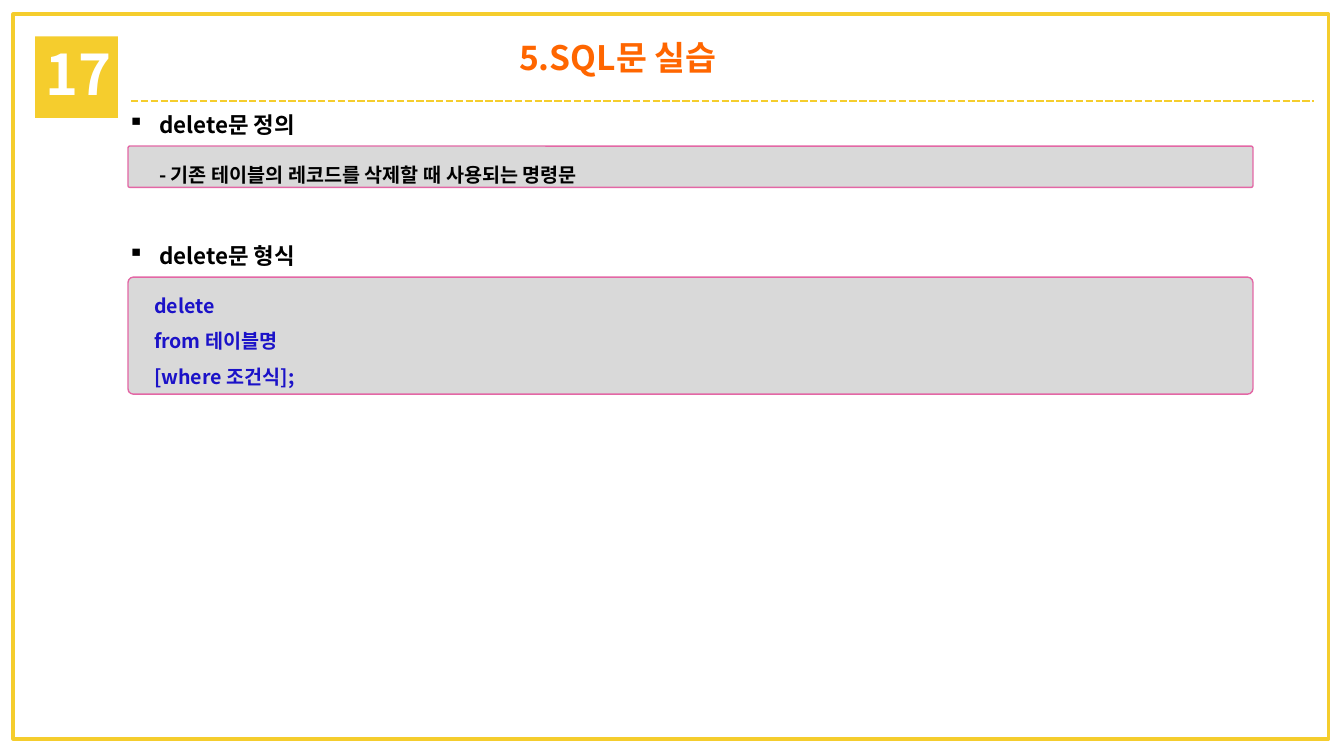
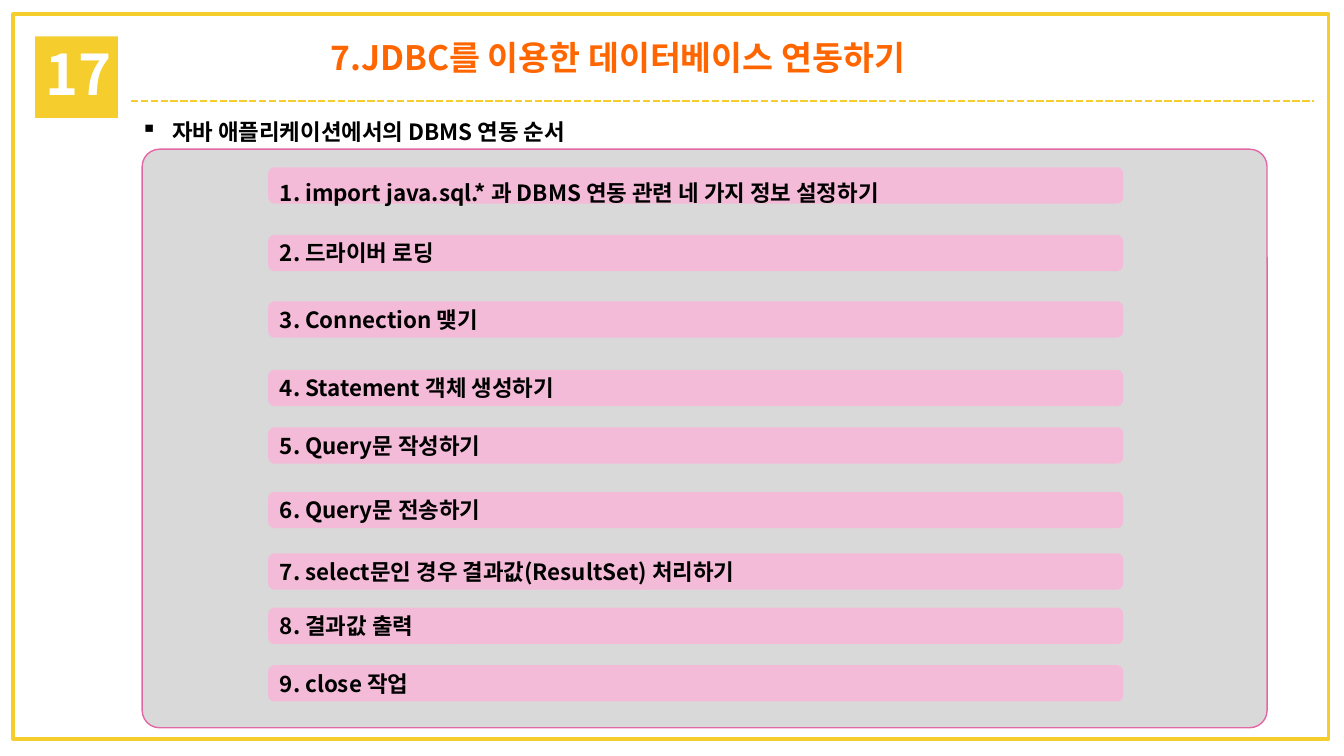
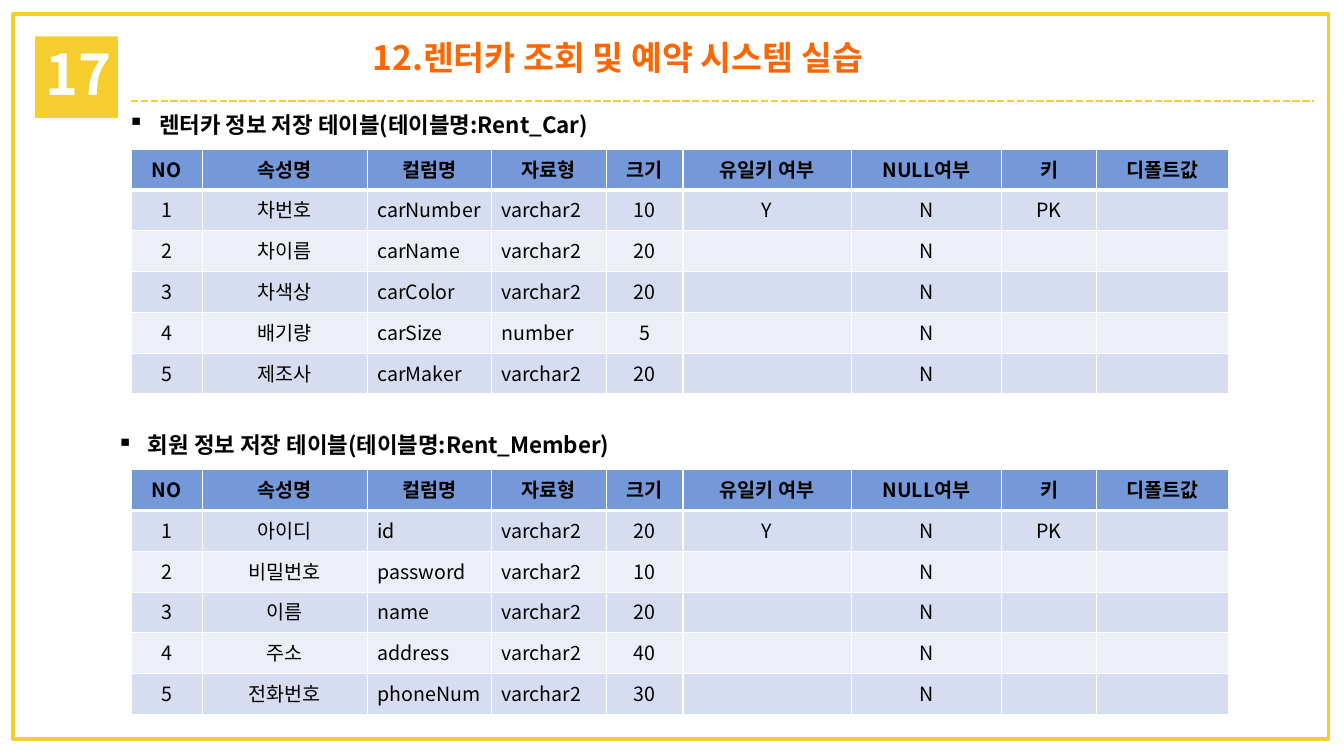
from dataclasses import dataclass

from lxml import etree
from pptx import Presentation
from pptx import util as u
from pptx.dml.color import RGBColor
from pptx.enum import dml, shapes, text
from pptx.oxml.ns import qn


@dataclass(frozen=True)
class Theme:
    font: str = "Noto Sans CJK KR"
    gold: str = "F5CD2D"
    orange: str = "FF6600"
    ink: str = "000000"
    white: str = "FFFFFF"
    code: str = "1B12C8"
    gray: str = "D9D9D9"
    rose: str = "E367A5"
    pink: str = "F3BBD7"
    header: str = "7598D9"
    bands: tuple = ("D6DDF1", "ECEFF8")
    badge: int = 40
    title: int = 24
    head: int = 16
    body: int = 14


T = Theme()
PAGE = (0, 0, u.Inches(13.333), u.Inches(7.5))
LEFT, CENTER = text.PP_ALIGN.LEFT, text.PP_ALIGN.CENTER
RECT = shapes.MSO_SHAPE.RECTANGLE
ROUND = shapes.MSO_SHAPE.ROUNDED_RECTANGLE
WIDTHS = (0.71, 1.63, 1.23, 1.14, 0.76, 1.67, 1.49, 0.94, 1.31)
COLUMNS = ("NO", "속성명", "컬럼명", "자료형", "크기", "유일키 여부",
           "NULL여부", "키", "디폴트값")
CARS = (("차번호", "carNumber", "varchar2", "10"),
        ("차이름", "carName", "varchar2", "20"),
        ("차색상", "carColor", "varchar2", "20"),
        ("배기량", "carSize", "number", "5"),
        ("제조사", "carMaker", "varchar2", "20"))
MEMBERS = (("아이디", "id", "varchar2", "20"),
           ("비밀번호", "password", "varchar2", "10"),
           ("이름", "name", "varchar2", "20"),
           ("주소", "address", "varchar2", "40"),
           ("전화번호", "phoneNum", "varchar2", "30"))
# Top of each step, in percent of the panel height
STEPS = ((3.14, "1. import java.sql.* 과 DBMS 연동 관련 네 가지 정보 설정하기"),
         (14.81, "2. 드라이버 로딩"),
         (26.31, "3. Connection 맺기"),
         (38.15, "4. Statement 객체 생성하기"),
         (48.08, "5. Query문 작성하기"),
         (59.23, "6. Query문 전송하기"),
         (69.86, "7. select문인 경우 결과값(ResultSet) 처리하기"),
         (79.27, "8. 결과값 출력"),
         (89.2, "9. close 작업"))


def part(box, x, y, w, h):
    """Return the area at these percentages of a box."""
    left, top, wide, high = box
    return (round(left + wide * x / 100), round(top + high * y / 100),
            round(wide * w / 100), round(high * h / 100))


def rgb(color):
    return RGBColor.from_string(color)


def style(para, size, color=T.ink, bold=True, align=LEFT, spacing=None):
    para.alignment = align
    if spacing:
        para.line_spacing = spacing
    font = para.font
    font.size, font.bold, font.name = u.Pt(size), bold, T.font
    font.color.rgb = rgb(color)
    props = para._p.get_or_add_pPr().find(qn("a:defRPr"))
    etree.SubElement(props, qn("a:ea"), typeface=T.font)


def indent(para, left, first=0, bullet=None):
    props = para._p.get_or_add_pPr()
    props.set("marL", str(u.Inches(left)))
    props.set("indent", str(u.Inches(first)))
    if bullet:
        etree.SubElement(props, qn("a:buChar"), char=bullet)


def label(slide, box, lines, size, color=T.ink, spacing=None, left=0,
          first=0, bullet=None):
    frame = slide.shapes.add_textbox(*box).text_frame
    frame.word_wrap = True
    frame.auto_size = text.MSO_AUTO_SIZE.SHAPE_TO_FIT_TEXT
    frame.text = "\n".join(lines)
    for para in frame.paragraphs:
        if left:
            indent(para, left, first, bullet)
        style(para, size, color, spacing=spacing)


def block(slide, kind, box, fill=None, line=None, width=1, corner=None):
    shape = slide.shapes.add_shape(kind, *box)
    shape.shadow.inherit = False
    if corner is not None:
        shape.adjustments[0] = corner
    if fill:
        shape.fill.solid()
        shape.fill.fore_color.rgb = rgb(fill)
    else:
        shape.fill.background()
    if line:
        shape.line.color.rgb = rgb(line)
        shape.line.width = u.Pt(width)
    else:
        shape.line.fill.background()
    return shape


def start(deck, title):
    """Add a slide with the shared frame, badge, rule and title."""
    slide = deck.slides.add_slide(deck.slide_layouts[5])
    block(slide, RECT, part(PAGE, 0.98, 1.87, 97.88, 95.87),
          line=T.gold, width=2.5)
    block(slide, RECT, part(PAGE, 2.62, 4.8, 6.15, 10.8), T.gold)
    label(slide, part(PAGE, 2.62, 4.53, 7.28, 10.27), ["17"], T.badge, T.white)
    x, y, w, _ = part(PAGE, 9.75, 13.33, 88.05, 0)
    rule = slide.shapes.add_connector(shapes.MSO_CONNECTOR.STRAIGHT,
                                      x, y, x + w, y)
    rule.line.color.rgb = rgb(T.gold)
    rule.line.width = u.Pt(1.75)
    rule.line.dash_style = dml.MSO_LINE.SQUARE_DOT
    etree.SubElement(rule._element.spPr, qn("a:effectLst"))
    head = slide.shapes.title
    head.left, head.top, head.width, head.height = part(
        PAGE, 10.72, 4.27, 70.5, 6.67)
    frame = head.text_frame
    frame.text = title
    frame.word_wrap = True
    frame.auto_size = text.MSO_AUTO_SIZE.SHAPE_TO_FIT_TEXT
    frame.vertical_anchor = text.MSO_ANCHOR.TOP
    style(frame.paragraphs[0], T.title, T.orange, align=CENTER)
    return slide


def heading(slide, x, y, words, width=42.6):
    label(slide, part(PAGE, x, y, width, 4.93), [words], T.head,
          left=0.31, first=-0.31, bullet="▪")


def panel(slide, box, corner):
    block(slide, ROUND, box, T.gray, T.rose, corner=corner)


def section(slide, top, words, high, lines, color=T.ink, left=0):
    """Add a heading with a panel of text below it."""
    heading(slide, 8.78, top, words)
    box = part(PAGE, 9.53, top + 5.33, 83.7, high)
    panel(slide, box, 0.045)
    label(slide, part(box, 1.43, 0, 94.18, 100), lines, T.body, color,
          spacing=1.5, left=left)


def steps(slide, box):
    panel(slide, box, 0.03)
    for row, (top, words) in enumerate(STEPS):
        bar = block(slide, ROUND, part(box, 11.2, top, 76, 6.27), T.pink)
        frame = bar.text_frame
        frame.text = words
        frame.vertical_anchor = text.MSO_ANCHOR.MIDDLE
        style(frame.paragraphs[0], T.head, spacing=None if row else 1.5)


def border(cell, row):
    props = cell._tc.get_or_add_tcPr()
    thick = {"T": row == 1, "B": row == 0}
    for side in "LRTB":
        width = u.Pt(3 if thick.get(side) else 1)
        line = etree.SubElement(props, qn("a:ln" + side), w=str(width))
        fill = etree.SubElement(line, qn("a:solidFill"))
        etree.SubElement(fill, qn("a:srgbClr"), val=T.white)


def schema(slide, box, fields):
    """Add a table with one row for each database field."""
    rows = [COLUMNS]
    for num, field in enumerate(fields, 1):
        key = ("Y", "N", "PK") if num == 1 else ("", "N", "")
        rows.append((str(num), *field, *key, ""))
    table = slide.shapes.add_table(len(rows), len(COLUMNS), *box).table
    for column, share in zip(table.columns, WIDTHS):
        column.width = round(box[2] * share / sum(WIDTHS))
    for r, values in enumerate(rows):
        table.rows[r].height = round(box[3] / len(rows))
        for c, value in enumerate(values):
            cell = table.cell(r, c)
            border(cell, r)
            cell.fill.solid()
            cell.fill.fore_color.rgb = rgb(T.bands[(r - 1) % 2] if r
                                           else T.header)
            cell.text = value
            para = cell.text_frame.paragraphs[0]
            style(para, T.body, bold=r == 0,
                  align=LEFT if r and c in (2, 3) else CENTER)
            if not value:
                etree.SubElement(para._p, qn("a:endParaRPr"),
                                 sz=str(T.body * 100))


def delete(deck):
    slide = start(deck, "5.SQL문 실습")
    section(slide, 14, "delete문 정의", 5.47,
            ["- 기존 테이블의 레코드를 삭제할 때 사용되는 명령문"], left=0.05)
    section(slide, 31.33, "delete문 형식", 15.47,
            ["delete", "from 테이블명", "[where 조건식];"], T.code)


def connect(deck):
    slide = start(deck, "7.JDBC를 이용한 데이터베이스 연동하기")
    heading(slide, 9.75, 14.93, "자바 애플리케이션에서의 DBMS 연동 순서")
    steps(slide, part(PAGE, 10.58, 19.73, 83.7, 76.53))


def rental(deck):
    slide = start(deck, "12.렌터카 조회 및 예약 시스템 실습")
    for x, y, words, top, fields in (
            (8.78, 14, "렌터카 정보 저장 테이블(테이블명:Rent_Car)", 19.73, CARS),
            (7.95, 56.4, "회원 정보 저장 테이블(테이블명:Rent_Member)", 62.13,
             MEMBERS)):
        heading(slide, x, y, words, 78.6)
        schema(slide, part(PAGE, 9.75, top, 81.68, 32.4), fields)


def main():
    deck = Presentation()
    deck.slide_width, deck.slide_height = PAGE[2:]
    for build in (delete, connect, rental):
        build(deck)
    deck.save("out.pptx")


if __name__ == "__main__":
    main()
